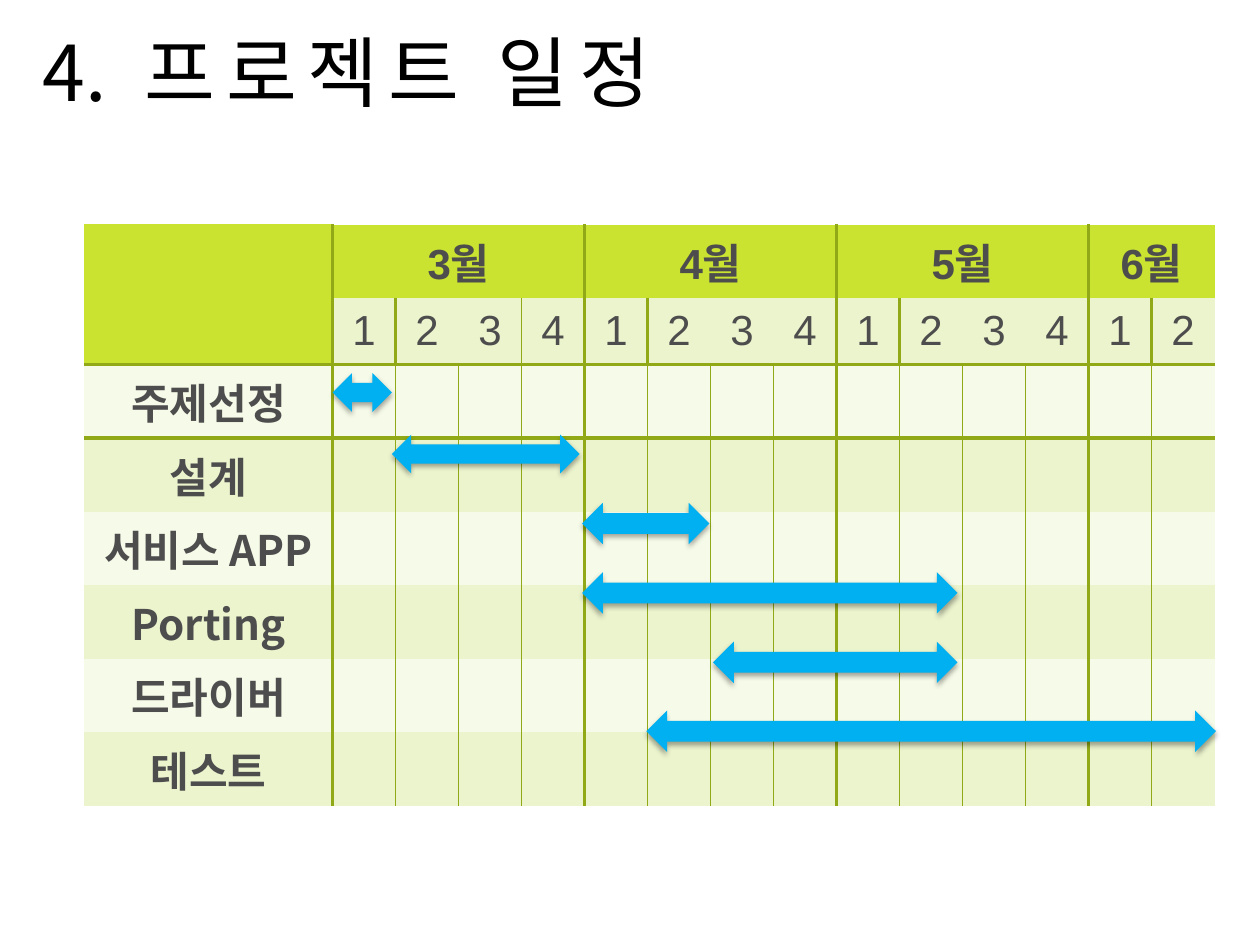
from dataclasses import dataclass

from lxml.etree import SubElement as Sub
from pptx import Presentation
from pptx.dml.color import RGBColor as Rgb
from pptx.enum.shapes import MSO_SHAPE as Kind
from pptx.enum.text import MSO_ANCHOR as Anchor, MSO_AUTO_SIZE as Auto, PP_ALIGN as Align
from pptx.oxml.ns import qn
from pptx.util import Emu, Inches, Pt


@dataclass(frozen=True)
class Theme:
    ink: str = "000000"
    text: str = "4D4D4D"
    lime: str = "CAE331"
    pale: str = "ECF4CE"
    light: str = "F6FAE8"
    rule: str = "91A917"
    white: str = "FFFFFF"
    bar: str = "00B0F0"
    latin: str = "Arial"
    hangul: str = "Noto Sans CJK KR"
    head: float = 44
    body: float = 24
    thick: float = 2.25
    thin: float = 1


@dataclass(frozen=True)
class Box:
    left: float
    top: float
    width: float
    height: float

    def emu(self):
        return [Inches(n) for n in (self.left, self.top, self.width, self.height)]


T = Theme()
PLAIN = "{2D5ABB26-0587-4C30-8999-92F81FD0307C}"
LABEL, WEEK, ROW = 1.97, 0.5, 0.53
MONTHS = [("3월", 4), ("4월", 4), ("5월", 4), ("6월", 2)]
TASKS = ["주제선정", "설계", "서비스 APP", "Porting", "드라이버", "테스트"]
# Start week, length in weeks, top and height in rows
BARS = [
    (0, 0.94, 2.23, 0.58),
    (0.94, 2.98, 3.15, 0.58),
    (3.96, 2.02, 4.17, 0.62),
    (6.04, 3.88, 6.25, 0.62),
    (3.96, 5.96, 5.21, 0.62),
    (4.98, 9.04, 7.28, 0.62),
]
WEEKS = [n + 1 for _, count in MONTHS for n in range(count)]
STARTS = [i + 1 for i, n in enumerate(WEEKS) if n == 1]


def write(para, text, size, face, color, bold=False):
    run = para.add_run()
    run.text = text
    font = run.font
    font.size, font.name, font.bold = Pt(size), face, bold
    font.color.rgb = Rgb.from_string(color)
    Sub(font._element, qn("a:ea"), typeface=T.hangul)
    return run


def title(slide, box, text, number):
    shape = slide.shapes.title
    shape.left, shape.top, shape.width, shape.height = box.emu()
    frame = shape.text_frame
    frame.word_wrap, frame.auto_size = True, Auto.NONE
    frame.vertical_anchor = Anchor.MIDDLE
    para = frame.paragraphs[0]
    para.alignment = Align.LEFT
    props = para._p.get_or_add_pPr()
    indent = Inches(0.81)
    props.set("marL", str(indent))
    props.set("indent", str(-indent))
    Sub(props, qn("a:buFont"), typeface="+mj-lt")
    Sub(props, qn("a:buAutoNum"), type="arabicPeriod", startAt=str(number))
    run = write(para, text, T.head, T.hangul, T.ink)
    run.font._element.set("spc", "600")


def edge(row, col):
    """Width of the upright rule on the left of a column, or None."""
    if col in STARTS:
        return T.thick
    if (row > 1 and 1 < col <= len(WEEKS)) or (row, col) == (1, 4):
        return T.thin
    return None


def border(cell, row, col):
    lines = {"L": (edge(row, col), T.rule), "R": (edge(row, col + 1), T.rule)}
    if row == 0 and col:
        lines["T"] = (T.thin, T.white)
    if row == 2:
        lines["T"] = (T.thick, T.rule)
    if row == 1 or (row, col) == (0, 0):
        lines["B"] = (T.thick, T.rule)
    props = cell._tc.get_or_add_tcPr()
    for side, (width, color) in lines.items():
        if width:
            line = Sub(props, qn(f"a:ln{side}"), w=str(Pt(width)))
            Sub(Sub(line, qn("a:solidFill")), qn("a:srgbClr"), val=color)


def paint(cell, row, col):
    if row == 0 or (row, col) == (1, 0):
        color = T.lime
    else:
        color = T.pale if row % 2 else T.light
    cell.fill.solid()
    cell.fill.fore_color.rgb = Rgb.from_string(color)


def label(cell, text, face, bold):
    cell.vertical_anchor = Anchor.MIDDLE
    para = cell.text_frame.paragraphs[0]
    para.alignment = Align.CENTER
    write(para, text, T.body, face, T.text, bold)


def plan(slide, box):
    rows, cols = len(TASKS) + 2, len(WEEKS) + 1
    frame = slide.shapes.add_table(rows, cols, *box.emu())
    frame.element.find(".//" + qn("a:tableStyleId")).text = PLAIN
    table = frame.table
    table.first_row = table.horz_banding = False
    for i, col in enumerate(table.columns):
        col.width = Inches(WEEK if i else LABEL)
    for row in table.rows:
        row.height = Inches(ROW)
    for r in range(rows):
        for c in range(cols):
            cell = table.cell(r, c)
            border(cell, r, c)
            paint(cell, r, c)
    table.cell(0, 0).merge(table.cell(1, 0))
    for (name, count), col in zip(MONTHS, STARTS):
        cell = table.cell(0, col)
        cell.merge(table.cell(0, col + count - 1))
        label(cell, name, T.latin, True)
    for col, week in enumerate(WEEKS, 1):
        label(table.cell(1, col), str(week), T.latin, False)
    for row, task in enumerate(TASKS, 2):
        label(table.cell(row, 0), task, T.hangul, True)


def shade(shape):
    shape.shadow.inherit = False
    effects = shape.element.spPr.find(qn("a:effectLst"))
    drop = Sub(effects, qn("a:outerShdw"), blurRad=str(Pt(3.1)), dist=str(Pt(1.8)),
               dir="5400000", rotWithShape="0")
    color = Sub(drop, qn("a:srgbClr"), val=T.ink)
    Sub(color, qn("a:alpha"), val="35000")


def bars(slide, box):
    for start, length, top, height in BARS:
        spot = Box(box.left + LABEL + start * WEEK, box.top + top * ROW,
                   length * WEEK, height * ROW)
        shape = slide.shapes.add_shape(Kind.LEFT_RIGHT_ARROW, *spot.emu())
        shape.fill.solid()
        shape.fill.fore_color.rgb = Rgb.from_string(T.bar)
        shape.line.fill.background()
        shade(shape)


def main():
    deck = Presentation()
    deck.slide_width, deck.slide_height = Emu(Inches(10)), Emu(Inches(7.5))
    slide = deck.slides.add_slide(deck.slide_layouts[5])
    title(slide, Box(0.24, 0.17, 9.25, 0.78), "프로젝트 일정", 4)
    chart = Box(0.67, 1.78, LABEL + WEEK * len(WEEKS), ROW * (len(TASKS) + 2))
    plan(slide, chart)
    bars(slide, chart)
    deck.save("out.pptx")


if __name__ == "__main__":
    main()
